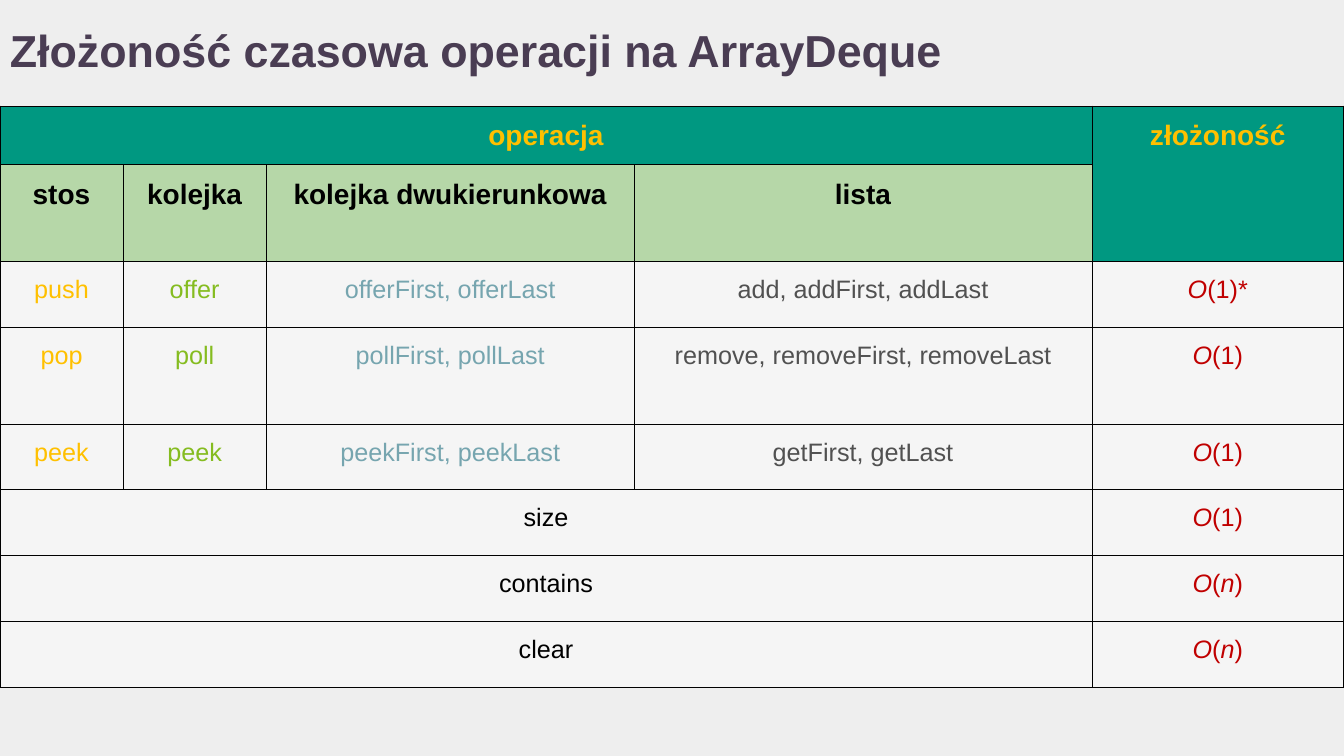
from itertools import groupby
from lxml.etree import SubElement as Sub
from pptx import Presentation
from pptx.dml.color import RGBColor as Rgb
from pptx.enum.shapes import MSO_SHAPE as Shape
from pptx.enum.text import MSO_ANCHOR as Anchor, PP_ALIGN as Align
from pptx.oxml.ns import qn
from pptx.util import Cm, Pt

TITLE = "Złożoność czasowa operacji na ArrayDeque"
ROWS = [
    ("operacja", "", "", "", "złożoność"),
    ("stos", "kolejka", "kolejka dwukierunkowa", "lista", ""),
    ("push", "offer", "offerFirst, offerLast", "add, addFirst, addLast", "O(1)*"),
    ("pop", "poll", "pollFirst, pollLast", "remove, removeFirst, removeLast", "O(1)"),
    ("peek", "peek", "peekFirst, peekLast", "getFirst, getLast", "O(1)"),
    ("size", "", "", "", "O(1)"),
    ("contains", "", "", "", "O(n)"),
    ("clear", "", "", "", "O(n)"),
]
WIDE = (0, 5, 6, 7)
INKS = ("FFC000", "85BC20", "76A5AF", "515151", "C00000")
WIDTHS = (3.1, 3.61, 9.27, 11.54, 6.34)
HEIGHTS = (1.47, 2.44, 1.66, 2.44, 1.66, 1.66, 1.66, 1.66)
PAGE_W, PAGE_H = 33.87, 19.05
HEAD_H, FOOT_H = 2.67, 1.73
GREEN, PALE, GREY, BLACK = "009881", "B6D7A8", "EEEEEE", "000000"


def paint(fill, color):
    fill.solid()
    fill.fore_color.rgb = Rgb.from_string(color)


def write(frame, text, size=18, color=BLACK, bold=False, math=False,
          align=Align.CENTER, gap=1.15):
    par = frame.paragraphs[0]
    par.alignment, par.line_spacing = align, gap
    parts = groupby(text, str.isalpha) if math else [(False, text)]
    for slant, chars in parts:
        run = par.add_run()
        run.text = "".join(chars)
        font = run.font
        font.name, font.size = "Arial", Pt(size)
        font.bold, font.italic = bold, slant
        font.color.rgb = Rgb.from_string(color)


def inset(box):
    box.margin_left = box.margin_right = Cm(0.25)
    box.margin_top = box.margin_bottom = Cm(0.25)


def edge(cell):
    props = cell._tc.get_or_add_tcPr()
    for n, side in enumerate(("lnL", "lnR", "lnT", "lnB")):
        line = props.makeelement(qn("a:" + side), {"w": str(Pt(0.75))})
        props.insert(n, line)
        Sub(Sub(line, qn("a:solidFill")), qn("a:srgbClr"), val=BLACK)


def style(row, col):
    if row == 0:
        return dict(size=20, color="FFC000", bold=True)
    if row == 1:
        return dict(size=20, bold=True)
    if row in WIDE and col == 0:
        return {}
    return dict(color=INKS[col], math=col == 4)


deck = Presentation()
deck.slide_width, deck.slide_height = Cm(PAGE_W), Cm(PAGE_H)
slide = deck.slides.add_slide(deck.slide_layouts[6])
paint(slide.background.fill, "F5F5F5")

for top, high in ((PAGE_H - FOOT_H, FOOT_H), (0, HEAD_H)):
    band = slide.shapes.add_shape(Shape.RECTANGLE, 0, Cm(top), Cm(PAGE_W), Cm(high))
    band.shadow.inherit = False
    paint(band.fill, GREY)
    band.line.fill.background()

title = slide.shapes.add_textbox(0, 0, Cm(30.28), Cm(HEAD_H)).text_frame
title.word_wrap = True
title.vertical_anchor = Anchor.MIDDLE
inset(title)
write(title, TITLE, size=32, color="4A3D53", bold=True, align=Align.LEFT, gap=0.9)

grid = slide.shapes.add_table(len(ROWS), len(WIDTHS), 0, Cm(HEAD_H),
                              Cm(sum(WIDTHS)), Cm(sum(HEIGHTS))).table
for col, wide in zip(grid.columns, WIDTHS):
    col.width = Cm(wide)
for row, high in zip(grid.rows, HEIGHTS):
    row.height = Cm(high)

for r, words in enumerate(ROWS):
    for c, word in enumerate(words):
        cell = grid.cell(r, c)
        inset(cell)
        if r == 0 or (r == 1 and c == 4):
            paint(cell.fill, GREEN)
        elif r == 1:
            paint(cell.fill, PALE)
        else:
            cell.fill.background()
        edge(cell)
        if word:
            write(cell.text_frame, word, **style(r, c))

for r in WIDE:
    grid.cell(r, 0).merge(grid.cell(r, 3))
grid.cell(0, 4).merge(grid.cell(1, 4))

deck.save("out.pptx")
